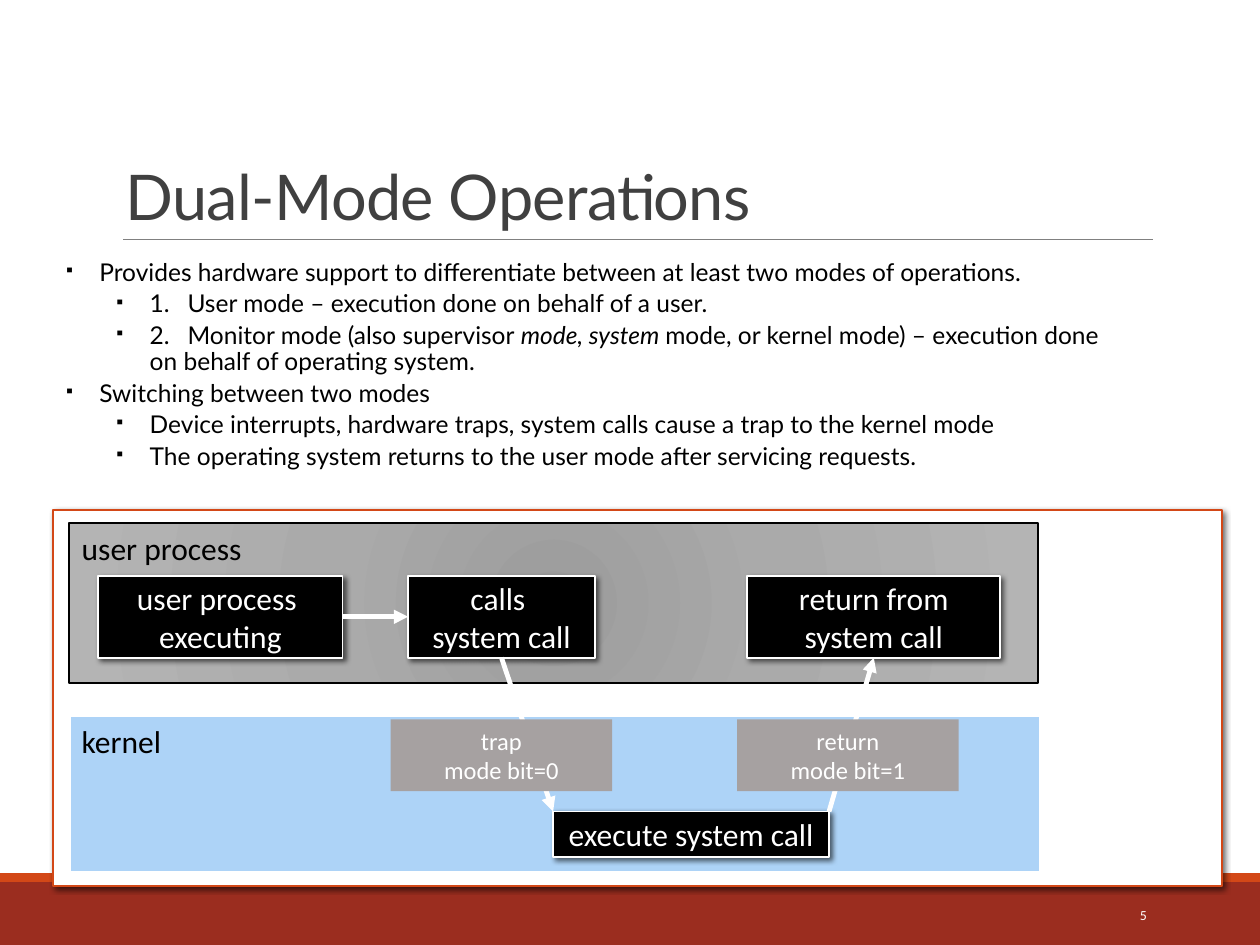
from lxml.etree import SubElement
from pptx import Presentation
from pptx.dml.color import RGBColor
from pptx.enum.shapes import MSO_CONNECTOR, MSO_SHAPE
from pptx.enum.text import MSO_ANCHOR, PP_ALIGN
from pptx.oxml.ns import qn
from pptx.util import Inches, Pt

COLUMNS, ROWS = 100, 75  # grid over the whole slide
WIDTH, HEIGHT = Inches(10), Inches(7.5)

THEME = {
    "heading_font": "Lato", "diagram_font": "Calibri",
    "title": 36, "body": 14, "label": 18, "mode": 14, "number": 7.9,
    "white": "FFFFFF", "black": "000000", "title_ink": "404040",
    "band": "9B2D1F", "accent": "D34817", "rule": "808080",
    "kernel": "ADD3F7", "mode_fill": "A6A1A1",
    "user_stops": [(0, "9C9C9C"), (45, "AAAAAA"), (100, "B4B4B4")],
}

TITLE = "Dual-Mode Operations"
SLIDE_NUMBER = "5"
# (level, [(text, italic), ...])
BULLETS = [
    (0, [("Provides hardware support to differentiate between at least two modes of operations.", False)]),
    (1, [("1.\tUser mode – execution done on behalf of a user.", False)]),
    (1, [("2.\tMonitor mode (also supervisor ", False), ("mode, system ", True),
         ("mode, or kernel mode) – execution done on behalf of operating system.", False)]),
    (0, [("Switching between two modes", False)]),
    (1, [("Device interrupts, hardware traps, system calls cause a trap to the kernel mode", False)]),
    (1, [("The operating system returns to the user mode after servicing requests.", False)]),
]
# name: (lines, column, row, columns wide, rows high)
STEP_ROW, STEP_HEIGHT = 45.7, 6.5
STEPS = {
    "executing": (["user process ", "executing"], 7.8, STEP_ROW, 19.4, STEP_HEIGHT),
    "calls": (["calls ", "system call"], 32.4, STEP_ROW, 14.8, STEP_HEIGHT),
    "return": (["return from system call"], 59.3, STEP_ROW, 20.1, STEP_HEIGHT),
    "execute": (["execute system call"], 43.9, 64.4, 21.9, 3.6),
}
MODES = [(["trap", "mode bit=0"], 31), (["return", "mode bit=1"], 58.5)]

presentation = Presentation()
presentation.slide_width, presentation.slide_height = WIDTH, HEIGHT
slide = presentation.slides.add_slide(presentation.slide_layouts[6])


def color(name):
    return RGBColor.from_string(THEME[name])


def grid(column, row):
    return round(WIDTH * column / COLUMNS), round(HEIGHT * row / ROWS)


def apply(target, **values):
    for name, value in values.items():
        setattr(target, name, value)


def add_xml(parent, tag, **attributes):
    return SubElement(parent, qn(tag), {key: str(value) for key, value in attributes.items()})


def add_run(paragraph, text, size, ink, font, italic=None):
    run = paragraph.add_run()
    run.text = text
    apply(run.font, size=Pt(THEME[size]), name=THEME[font], italic=italic)
    run.font.color.rgb = color(ink)
    return run


def write(shape, lines, size, ink, font="diagram_font", align=PP_ALIGN.CENTER,
          anchor=MSO_ANCHOR.MIDDLE, **frame_values):
    frame = shape.text_frame
    apply(frame, word_wrap=True, vertical_anchor=anchor, **frame_values)
    for index, line in enumerate(lines):
        paragraph = frame.add_paragraph() if index else frame.paragraphs[0]
        paragraph.alignment = align
        run = add_run(paragraph, line, size, ink, font)
    return paragraph, run


def add_box(column, row, columns, rows, fill, line=None, weight=1, shadow=False):
    shape = slide.shapes.add_shape(MSO_SHAPE.RECTANGLE, *grid(column, row), *grid(columns, rows))
    shape.shadow.inherit = False
    shape.fill.solid()
    shape.fill.fore_color.rgb = color(fill)
    if line:
        shape.line.color.rgb = color(line)
        shape.line.width = Pt(weight)
    else:
        shape.line.fill.background()
    if shadow:
        effects = shape._element.spPr.find(qn("a:effectLst"))
        outer = add_xml(effects, "a:outerShdw", blurRad=Pt(3), dist=Pt(2), dir=45 * 60000,
                        algn="ctr", rotWithShape=0)
        ink = add_xml(outer, "a:srgbClr", val=THEME["black"])
        add_xml(ink, "a:alpha", val=60000)
    return shape


def add_line(start, end, ink="white", weight=2.75, arrow=False):
    line = slide.shapes.add_connector(MSO_CONNECTOR.STRAIGHT, *grid(*start), *grid(*end))
    line.line.color.rgb = color(ink)
    line.line.width = Pt(weight)
    properties = line._element.spPr
    if arrow:
        add_xml(properties.find(qn("a:ln")), "a:tailEnd", type="triangle")
    add_xml(properties, "a:effectLst")
    return line


def add_text_box(column, row, columns, rows):
    return slide.shapes.add_textbox(*grid(column, row), *grid(columns, rows))


def shade_radially(shape, stops):
    old = shape._element.spPr.find(qn("a:solidFill"))
    gradient = add_xml(shape._element.spPr, "a:gradFill", rotWithShape=1)
    stop_list = add_xml(gradient, "a:gsLst")
    for position, value in stops:
        add_xml(add_xml(stop_list, "a:gs", pos=position * 1000), "a:srgbClr", val=value)
    circle = add_xml(gradient, "a:path", path="circle")
    add_xml(circle, "a:fillToRect", **dict.fromkeys("ltrb", 100000))
    shape._element.spPr.replace(old, gradient)


def add_bullets(shape):
    frame = shape.text_frame
    apply(frame, word_wrap=True, vertical_anchor=MSO_ANCHOR.MIDDLE)
    for index, (level, runs) in enumerate(BULLETS):
        paragraph = frame.add_paragraph() if index else frame.paragraphs[0]
        apply(paragraph, level=level, line_spacing=0.9)
        properties = paragraph._p.get_or_add_pPr()
        properties.set("marL", str(Inches(0.3 + 0.4 * level)))
        properties.set("indent", str(Inches(-0.28)))
        add_xml(add_xml(properties, "a:spcBef"), "a:spcPct", val=20000)
        add_xml(add_xml(properties, "a:buClr"), "a:srgbClr", val=THEME["black"])
        add_xml(properties, "a:buSzPct", val=60000)
        add_xml(properties, "a:buChar", char="▪")
        for text, italic in runs:
            add_run(paragraph, text, "body", "black", "heading_font", italic)


# Page furniture and text
add_box(0, 70, COLUMNS, 5, "band")
add_box(0, 69.3, COLUMNS, 0.7, "accent")
add_line((9.8, 19), (91.5, 19), "rule", 0.5)
paragraph, run = write(add_text_box(9, 3.1, 82.5, 15.9), [TITLE], "title", "title_ink",
                       "heading_font", PP_ALIGN.LEFT, MSO_ANCHOR.BOTTOM)
paragraph.line_spacing = 0.85
run._r.get_or_add_rPr().set("spc", "-40")
write(add_text_box(81.2, 70.6, 10.8, 4), [SLIDE_NUMBER], "number", "white", align=PP_ALIGN.RIGHT)
add_bullets(add_text_box(3.9, 16, 85, 26))

# Diagram areas
add_box(4.2, 40.5, 92.8, 29.8, "white", "accent", shadow=True)
user_area = add_box(5.5, 41.5, 76.9, 12.7, "mode_fill", "black")
shade_radially(user_area, THEME["user_stops"])
add_line((5.5, 55.5), (82.6, 55.5))
kernel_area = add_box(5.5, 56.8, 77.1, 12.5, "kernel", "white", 2)
for area, label in ((user_area, "user process"), (kernel_area, "kernel")):
    write(area, [label], "label", "black", align=PP_ALIGN.LEFT, anchor=MSO_ANCHOR.TOP)

# Steps, arrows between them, then the mode switches on top
boxes = {}
for name, (lines, *place) in STEPS.items():
    boxes[name] = add_box(*place, "black", "white", shadow=True)
    write(boxes[name], lines, "label", "white", margin_top=0, margin_bottom=0)

_, execute_left, execute_top, execute_width, _ = STEPS["execute"]
execute_corners = [(execute_left, execute_top), (execute_left + execute_width, execute_top)]
trap_arrow = add_line(execute_corners[0], execute_corners[0], arrow=True)
trap_arrow.begin_connect(boxes["calls"], 2)
return_arrow = add_line(execute_corners[1], execute_corners[1], arrow=True)
return_arrow.end_connect(boxes["return"], 2)
call_arrow = add_line((27.2, 48.9), (32.4, 48.9), arrow=True)
call_arrow.begin_connect(boxes["executing"], 3)
call_arrow.end_connect(boxes["calls"], 1)

for lines, column in MODES:
    write(add_box(column, 57.1, 17.6, 5.7, "mode_fill"), lines, "mode", "white",
          anchor=MSO_ANCHOR.TOP)

presentation.save("out.pptx")
